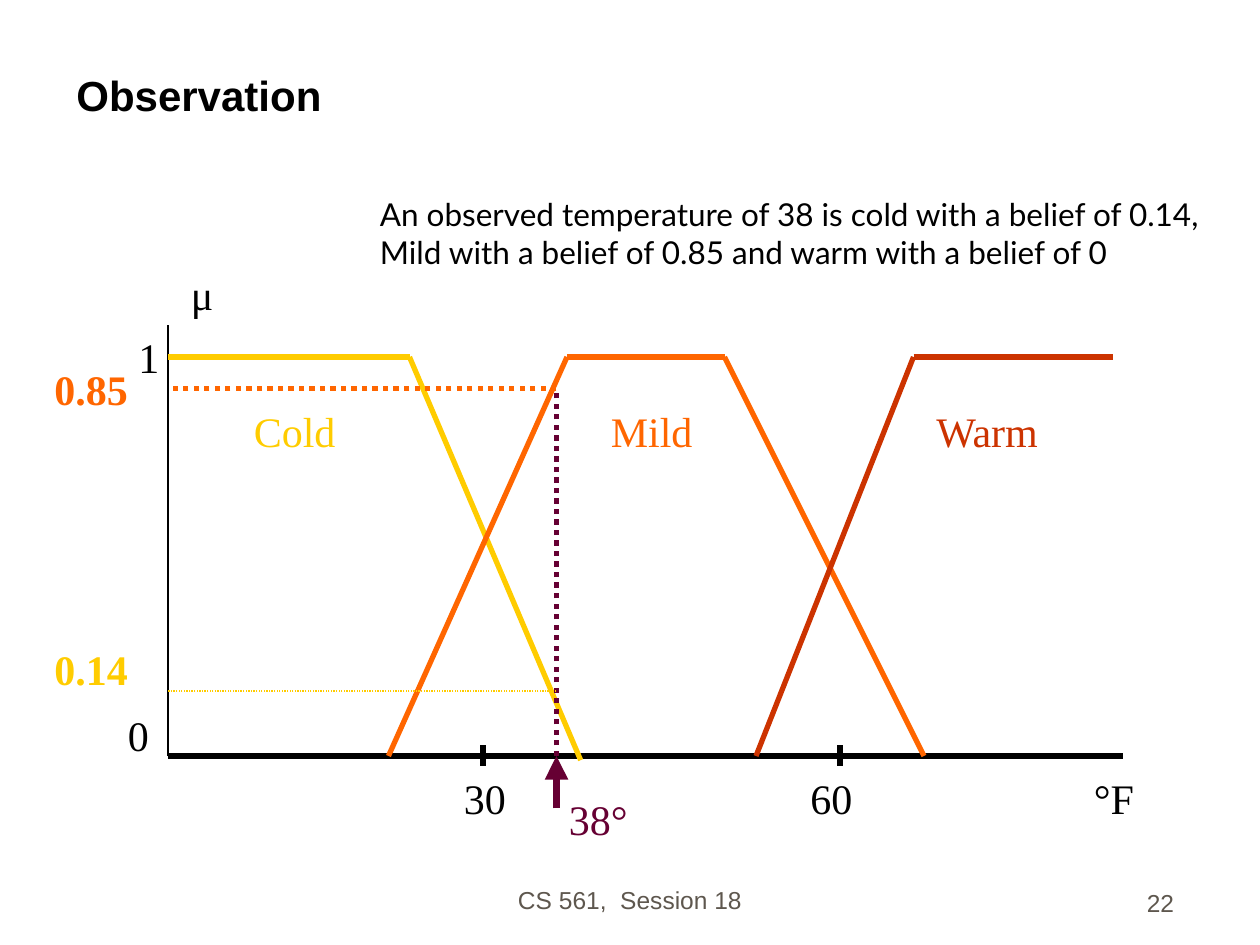
import pptx
import pptx.util
import pptx.dml.color
import pptx.enum.shapes
import pptx.enum.text
import pptx.enum.dml
import pptx.oxml.ns
import lxml.etree

HUE = {"ink": "000000", "cold": "FFCC00", "mild": "FF6600",
       "warm": "CC3300", "mark": "660033", "foot": "5E574E"}
SERIF = "Times New Roman"
ALIGN = pptx.enum.text.PP_ALIGN
TOP = pptx.enum.text.MSO_ANCHOR.TOP
BASE = pptx.enum.text.MSO_ANCHOR.BOTTOM

deck = pptx.Presentation()
deck.slide_width = pptx.util.Inches(10)
deck.slide_height = pptx.util.Inches(7.5)
slide = deck.slides.add_slide(deck.slide_layouts[6])
COL = deck.slide_width / 120
ROW = deck.slide_height / 90


def draw(hue, width, start, end, dots=False, head=False):
    line = slide.shapes.add_connector(
        pptx.enum.shapes.MSO_CONNECTOR.STRAIGHT,
        round(start[0] * COL), round(start[1] * ROW),
        round(end[0] * COL), round(end[1] * ROW))
    line.line.color.rgb = pptx.dml.color.RGBColor.from_string(HUE[hue])
    line.line.width = pptx.util.Pt(width)
    if dots:
        line.line.dash_style = pptx.enum.dml.MSO_LINE.ROUND_DOT
        dash = line.line._ln.find(pptx.oxml.ns.qn("a:prstDash"))
        dash.set("val", "sysDot")
    if head:
        tip = lxml.etree.SubElement(line.line._ln, pptx.oxml.ns.qn("a:tailEnd"))
        tip.set("type", "triangle")
    lxml.etree.SubElement(line._element.spPr, pptx.oxml.ns.qn("a:effectLst"))


def write(text, hue, box, name=SERIF, size=24, bold=False,
          align=ALIGN.LEFT, anchor=TOP, wrap=True):
    left, top, wide, high = box
    frame = slide.shapes.add_textbox(
        round(left * COL), round(top * ROW),
        round(wide * COL), round(high * ROW)).text_frame
    frame.word_wrap = wrap
    frame.vertical_anchor = anchor
    frame.text = text
    form = {"name": name, "size": pptx.util.Pt(size), "bold": bold}
    for para in frame.paragraphs:
        para.alignment = align
        for run in para.runs:
            for key, value in form.items():
                setattr(run.font, key, value)
            run.font.color.rgb = pptx.dml.color.RGBColor.from_string(HUE[hue])


write("Observation", "ink", (6.1, 3, 107, 9), "Arial", bold=True, anchor=BASE)
write("CS 561,  Session 18", "foot", (41, 81.7, 38, 6), "Arial", 14,
      align=ALIGN.CENTER, anchor=BASE)
write("22", "foot", (88, 82, 25, 6), "Arial", 14,
      align=ALIGN.RIGHT, anchor=BASE)
write("An observed temperature of 38 is cold with a belief of 0.14,\n"
      "Mild with a belief of 0.85 and warm with a belief of 0",
      "ink", (35, 18, 81.5, 8.4), "Lato", 18, wrap=False)

ZERO, ONE, LEFT, SEEN = 72, 34, 16, 53
draw("ink", 3, (LEFT, ZERO), (107, ZERO))
draw("ink", 0.75, (LEFT, ZERO), (LEFT, 31))

sets = {
    "cold": [(LEFT, ONE), (39, ONE), (55.3, 72.4)],
    "mild": [(37, ZERO), (54, ONE), (69, ONE), (88, ZERO)],
    "warm": [(72, ZERO), (87, ONE), (106, ONE)],
}
for hue, points in sets.items():
    for start, end in zip(points, points[1:]):
        draw(hue, 3, start, end)

draw("mark", 4.5, (SEEN, 77), (SEEN, ZERO), head=True)
draw("mark", 3, (SEEN, ZERO), (SEEN, 37), dots=True)
for hue, width, row in [("cold", 0.75, 65.8), ("mild", 3, 37)]:
    draw(hue, width, (SEEN, row), (LEFT, row), dots=True)
for tick in (46, 80):
    draw("ink", 3, (tick, ZERO - 1), (tick, ZERO + 1))

labels = [
    ("Warm", "warm", 88, 38, 18), ("Mild", "mild", 57, 38, 11),
    ("Cold", "cold", 23, 38, 11), ("°F", "ink", 103, 73, 7),
    ("μ", "ink", 17, 25, 6), ("1", "ink", 12, 31, 5),
    ("0", "ink", 11, 67, 5), ("30", "ink", 43, 73, 7),
    ("60", "ink", 76, 73, 7), ("38°", "mark", SEEN, 75, 11),
]
for text, hue, left, top, wide in labels:
    write(text, hue, (left, top, wide, 6))
for text, hue, top in [("0.14", "cold", 60.7), ("0.85", "mild", 34)]:
    write(text, hue, (4, top, 11, 6), bold=True)

deck.save("out.pptx")
